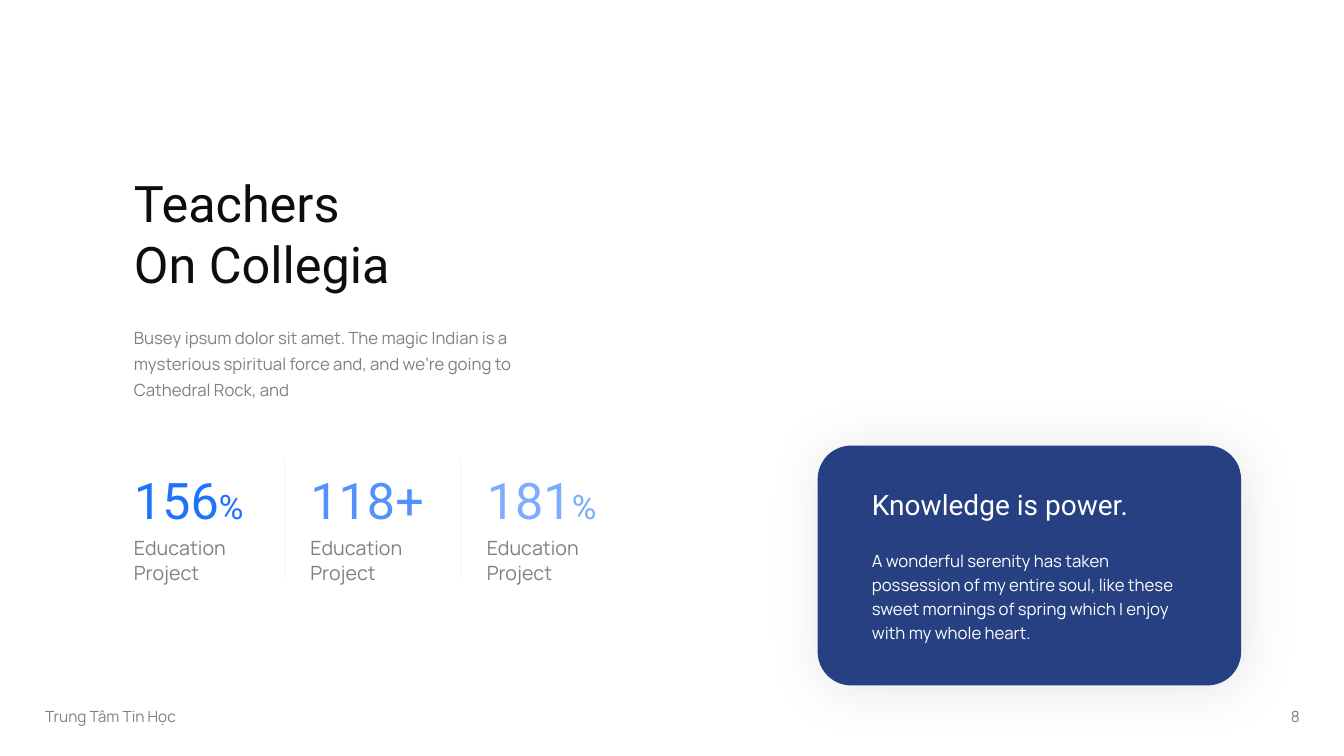
from dataclasses import dataclass

from lxml.etree import SubElement
from pptx import Presentation
from pptx.dml.color import RGBColor as Color
from pptx.enum.shapes import MSO_CONNECTOR as Link, MSO_SHAPE as Shape
from pptx.enum.text import MSO_ANCHOR as Anchor, MSO_AUTO_SIZE as Fit, PP_ALIGN as Align
from pptx.oxml.ns import qn
from pptx.util import Inches, Pt


@dataclass(frozen=True)
class Theme:
    """Colours, fonts and type sizes of the slide."""
    head: str = "Roboto"
    body: str = "Manrope"
    ink: str = "0D0D0D"
    gray: str = "808080"
    rule: str = "F2F2F2"
    card: str = "264081"
    white: str = "FFFFFF"
    blues: tuple = ("1E73FA", "5292FC", "7BACFD")
    title: int = 36
    unit: int = 24
    quote: int = 20
    label: int = 14
    text: int = 12
    foot: int = 11


T = Theme()


def write(slide, box, parts, size, face, color, space=None, align=None, anchor=Anchor.TOP):
    """Add a text box of one paragraph; later parts take the unit size."""
    shape = slide.shapes.add_textbox(*map(Inches, box))
    frame = shape.text_frame
    frame.word_wrap = True
    frame.auto_size = Fit.SHAPE_TO_FIT_TEXT
    frame.vertical_anchor = anchor
    para = frame.paragraphs[0]
    para.text = parts[0]
    for part in parts[1:]:
        run = para.add_run()
        run.text = part
        run.font.size = Pt(T.unit)
    para.line_spacing = space
    para.alignment = align
    font = para.font
    font.size, font.name = Pt(size), face
    font.color.rgb = Color.from_string(color)


def add_rule(slide, x, top, foot):
    """Draw a thin upright divider."""
    line = slide.shapes.add_connector(Link.STRAIGHT, *map(Inches, (x, foot, x, top)))
    line.line.color.rgb = Color.from_string(T.rule)
    line.line.width = Pt(0.5)
    SubElement(line._element.spPr, qn("a:effectLst"))


def add_shade(shape):
    """Give a shape a wide, soft shadow."""
    shape.shadow.inherit = False
    glow = shape._element.spPr.find(qn("a:effectLst"))
    shade = SubElement(glow, qn("a:outerShdw"), blurRad=str(Pt(40)), dist=str(Pt(3)),
                       dir=str(45 * 60000), algn="tl", rotWithShape="0")
    tint = SubElement(shade, qn("a:srgbClr"), val="000000")
    SubElement(tint, qn("a:alpha"), val="10000")


def add_intro(slide, x, y, w):
    """Place the title and the lead text."""
    write(slide, (x, y, w, 1.31), ["Teachers\vOn Collegia"], T.title, T.head, T.ink)
    lead = ("Busey ipsum dolor sit amet. The magic Indian is a mysterious spiritual "
            "force and, and we're going to Cathedral Rock, and")
    write(slide, (x, y + 1.48, w, 0.87), [lead], T.text, T.body, T.gray, 1.3)


def add_stats(slide, x, y, step):
    """Place the row of figures with dividers between them."""
    stats = (["156", "%"], ["118+"], ["181", "%"])
    for i, (stat, color) in enumerate(zip(stats, T.blues)):
        left = x + i * step
        write(slide, (left, y, 1.44, 0.82), stat, T.title, T.head, color, 1.3)
        write(slide, (left, y + 0.82, 1.44, 0.61), ["Education \vProject"],
              T.label, T.body, T.gray, 1.1)
        if i:
            add_rule(slide, left - 0.16, y + 0.12, y + 1.3)


def add_card(slide, x, y, w, h):
    """Place the quote card with its heading and text."""
    card = slide.shapes.add_shape(Shape.ROUNDED_RECTANGLE, *map(Inches, (x, y, w, h)))
    card.adjustments[0] = 0.14
    card.fill.solid()
    card.fill.fore_color.rgb = Color.from_string(T.card)
    card.line.fill.background()
    add_shade(card)
    left, wide = x + 0.44, w - 0.87
    write(slide, (left, y + 0.37, wide, 0.44), ["Knowledge is power."],
          T.quote, T.head, T.white)
    quote = ("A wonderful serenity has taken possession of my entire soul, like these "
             "sweet mornings of spring which I enjoy with my whole heart.")
    write(slide, (left, y + 0.95, wide, 1.05), [quote], T.text, T.body, T.white, 1.2)


def add_foot(slide, y):
    """Place the footer name and the page number."""
    notes = ((0.35, "Trung Tâm Tin Học", Align.LEFT), (7.77, "8", Align.RIGHT))
    for x, note, align in notes:
        write(slide, (x, y, 5.22, 0.29), [note], T.foot, T.body, T.gray,
              align=align, anchor=Anchor.BOTTOM)


def main():
    """Build and save the slide."""
    deck = Presentation()
    deck.slide_width, deck.slide_height = Inches(13.33), Inches(7.5)
    slide = deck.slides.add_slide(deck.slide_layouts[6])
    add_foot(slide, 6.96)
    add_stats(slide, 1.23, 4.42, 1.75)
    add_intro(slide, 1.23, 1.66, 4.39)
    add_card(slide, 8.11, 4.42, 4.2, 2.38)
    deck.save("out.pptx")


if __name__ == "__main__":
    main()
